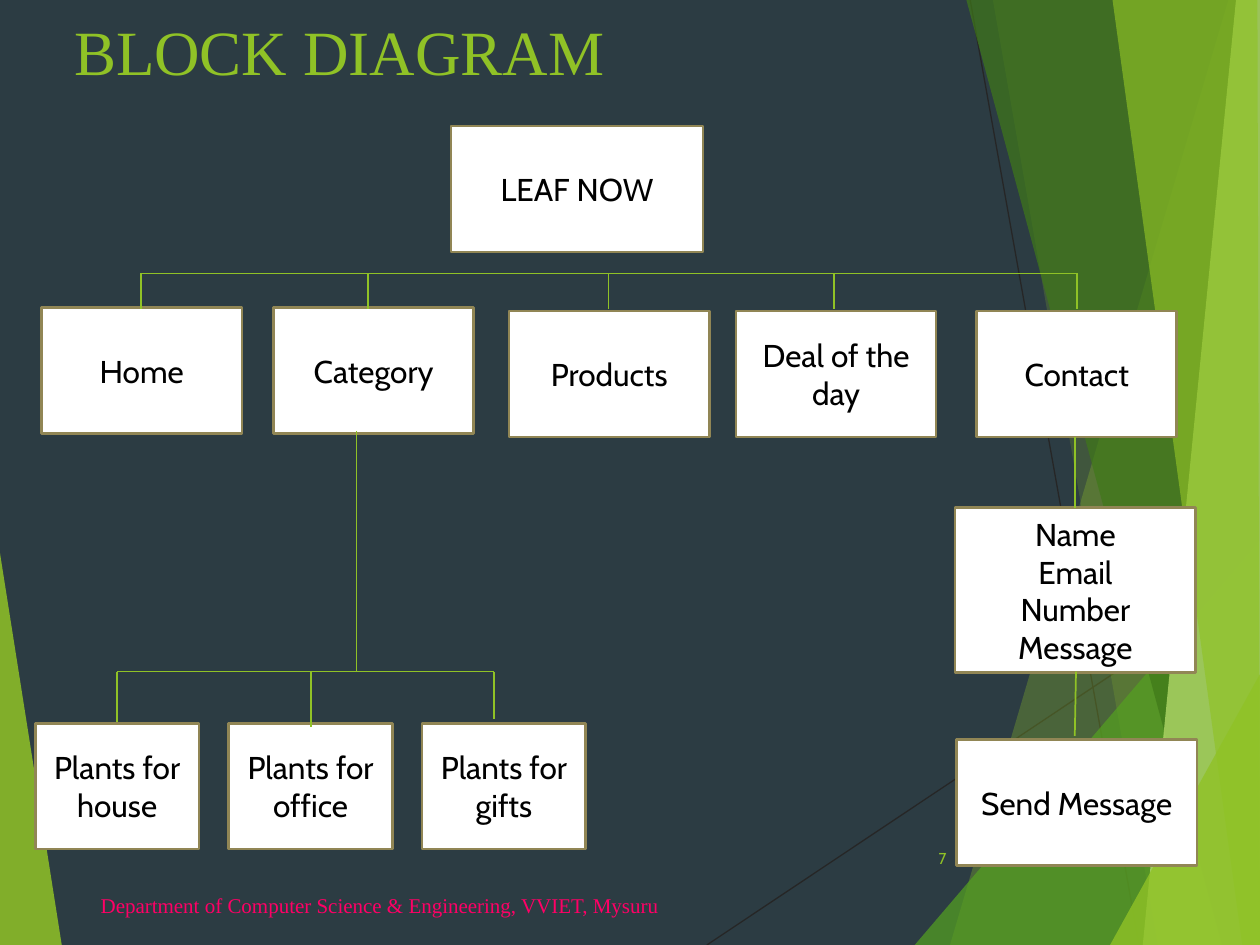
from lxml import etree
from pptx import Presentation
from pptx.dml.color import RGBColor
from pptx.enum import shapes, text
from pptx.oxml import ns
from pptx.util import Inches, Pt

LIME = RGBColor(0x90, 0xC2, 0x26)
GREEN = RGBColor(0x54, 0xA0, 0x21)
DARK = RGBColor(0x3F, 0x78, 0x19)
PALE = RGBColor(0xC0, 0xE4, 0x74)
SLATE = RGBColor(0x2C, 0x3C, 0x43)
GREY = RGBColor(0x26, 0x26, 0x26)
TAN = RGBColor(0x91, 0x86, 0x55)
PINK = RGBColor(0xFF, 0x00, 0x66)
WHITE = RGBColor(0xFF, 0xFF, 0xFF)
BLACK = RGBColor(0, 0, 0)

prs = Presentation()
prs.slide_width, prs.slide_height = Inches(10), Inches(7.5)
slide = prs.slides.add_slide(prs.slide_layouts[6])
slide.background.fill.solid()
slide.background.fill.fore_color.rgb = SLATE
parts = slide.shapes


def add_line(x1, y1, x2, y2, color=LIME, width=1):
    line = parts.add_connector(shapes.MSO_CONNECTOR.STRAIGHT,
                               Inches(x1), Inches(y1), Inches(x2), Inches(y2))
    line.line.color.rgb = color
    line.line.width = Pt(width)
    etree.SubElement(line._element.spPr, ns.qn("a:effectLst"))


def write(shape, words, size, font, color, align):
    frame = shape.text_frame
    frame.word_wrap = True
    frame.vertical_anchor = text.MSO_ANCHOR.MIDDLE
    frame.text = words
    for para in frame.paragraphs:
        para.alignment = align
        para.font.size = Pt(size)
        para.font.name = font
        para.font.color.rgb = color


# Backdrop: thin lines, then see-through shards
add_line(5.61, 7.5, 10, 4.57, GREY, 0.75)
add_line(7.7, 0, 9.04, 7.5, GREY, 0.75)
shards = [
    (LIME, 85, [(0, 4.39), (0.49, 7.5), (0, 7.5)]),
    (LIME, 30, [(9.75, 0), (7.54, 7.5), (10, 7.5), (10, 0)]),
    (LIME, 20, [(7.88, 0), (9.19, 7.5), (10, 7.5), (10, 0)]),
    (GREEN, 72, [(7.26, 7.5), (10, 4.29), (10, 7.5)]),
    (DARK, 70, [(7.67, 0), (9.7, 7.5), (10, 7.5), (10, 0)]),
    (PALE, 70, [(9.81, 0), (9.07, 7.5), (10, 7.5), (10, 0)]),
    (LIME, 65, [(8.83, 0), (9.86, 7.5), (10, 7.5), (9.98, 0)]),
    (LIME, 80, [(8.81, 7.5), (10, 5.35), (10, 7.5)]),
]
for color, alpha, points in shards:
    dots = [(Inches(x), Inches(y)) for x, y in points]
    pen = parts.build_freeform(*dots[0])
    pen.add_line_segments(dots[1:], close=True)
    shard = pen.convert_to_shape()
    shard.shadow.inherit = False
    shard.fill.solid()
    shard.fill.fore_color.rgb = color
    shard.line.fill.background()
    tint = shard._element.spPr.find(".//" + ns.qn("a:srgbClr"))
    etree.SubElement(tint, ns.qn("a:alpha"), val=str(alpha * 1000))

# Title, footer and page number
LEFT, MID, RIGHT = text.PP_ALIGN.LEFT, text.PP_ALIGN.CENTER, text.PP_ALIGN.RIGHT
labels = [
    (0.49, 0.02, 9, 0.75, "BLOCK DIAGRAM", 36, "Times New Roman", LIME, LEFT),
    (0.5, 6.98, 4.83, 0.4, "Department of Computer Science & Engineering, VVIET, Mysuru",
     12, "Times New Roman", PINK, RIGHT),
    (7.05, 6.61, 0.56, 0.4, "7", 9, "Cabin", LIME, RIGHT),
]
for x, y, w, h, *style in labels:
    write(parts.add_textbox(Inches(x), Inches(y), Inches(w), Inches(h)), *style)

# Boxes
boxes = [
    (3.58, 1, 2, 1, "LEAF NOW"),
    (0.33, 2.44, 1.59, 1, "Home"),
    (2.17, 2.44, 1.59, 1, "Category"),
    (4.04, 2.47, 1.59, 1, "Products"),
    (5.84, 2.47, 1.59, 1, "Deal of the day"),
    (7.75, 2.47, 1.59, 1, "Contact"),
    (7.58, 4.03, 1.91, 1.31, "Name\nEmail\nNumber\nMessage"),
    (7.59, 5.87, 1.91, 1, "Send Message"),
]
plants = ["Plants for house", "Plants for office", "Plants for gifts"]
boxes += [(0.28 + 1.535 * i, 5.74, 1.3, 1, name) for i, name in enumerate(plants)]
for x, y, w, h, words in boxes:
    box = parts.add_shape(shapes.MSO_SHAPE.RECTANGLE,
                          Inches(x), Inches(y), Inches(w), Inches(h))
    box.shadow.inherit = False
    box.fill.solid()
    box.fill.fore_color.rgb = WHITE
    box.line.color.rgb = TAN
    box.line.width = Pt(1.5)
    write(box, words, 18, "Cabin", BLACK, MID)

# Menu rail and its drops
add_line(1.12, 2.17, 8.55, 2.17)
for x in (1.12, 2.92, 4.83, 6.62, 8.55):
    add_line(x, 2.17, x, 2.45)

# Category stem, plant rail and its drops
add_line(2.83, 3.42, 2.83, 5.33)
add_line(0.93, 5.33, 3.92, 5.33)
for x, end in ((0.93, 5.73), (2.47, 5.77), (3.92, 5.71)):
    add_line(x, 5.33, x, end)

# Contact chain
add_line(8.53, 3.47, 8.53, 4.03)
add_line(8.54, 5.33, 8.53, 5.84)

prs.save("out.pptx")
